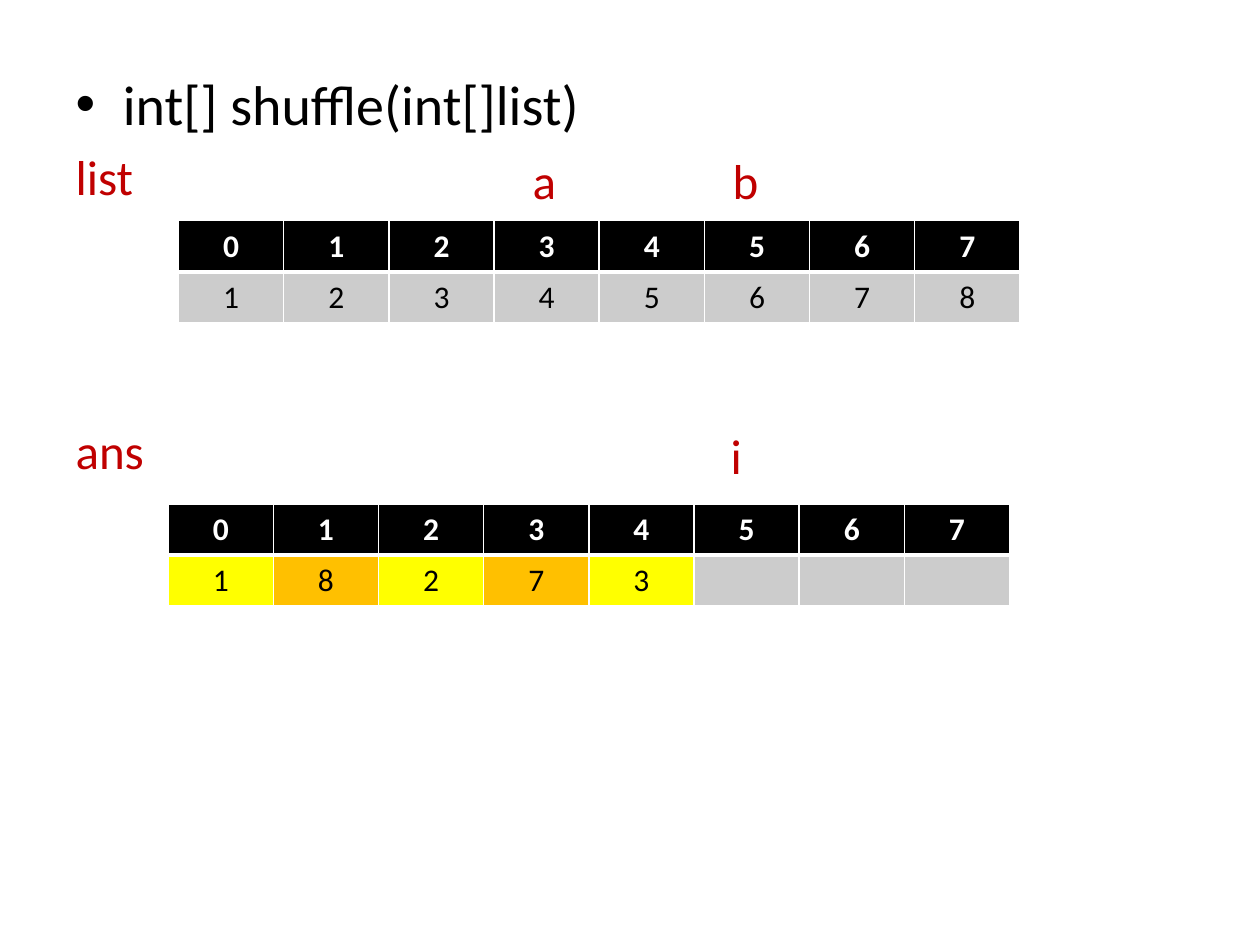
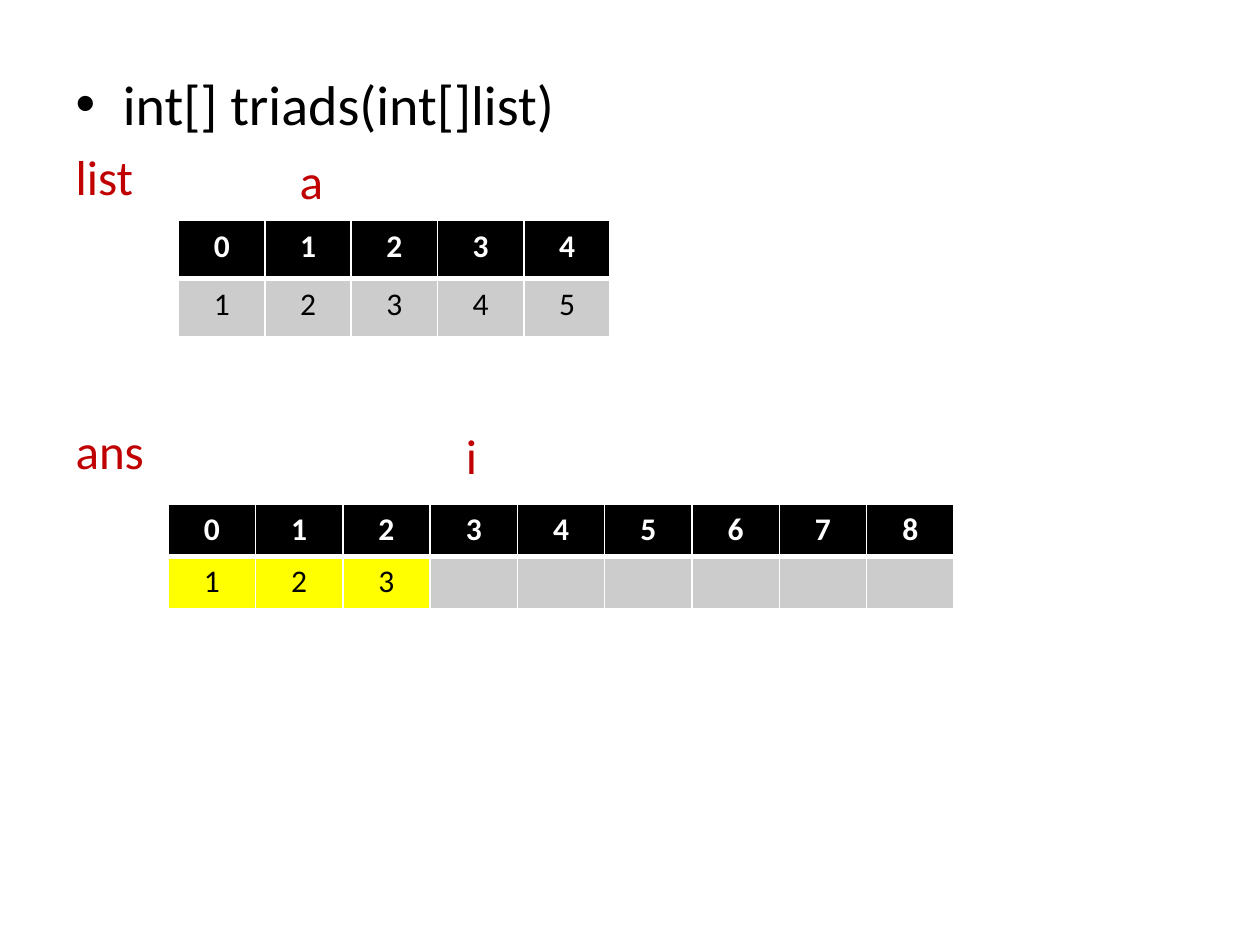
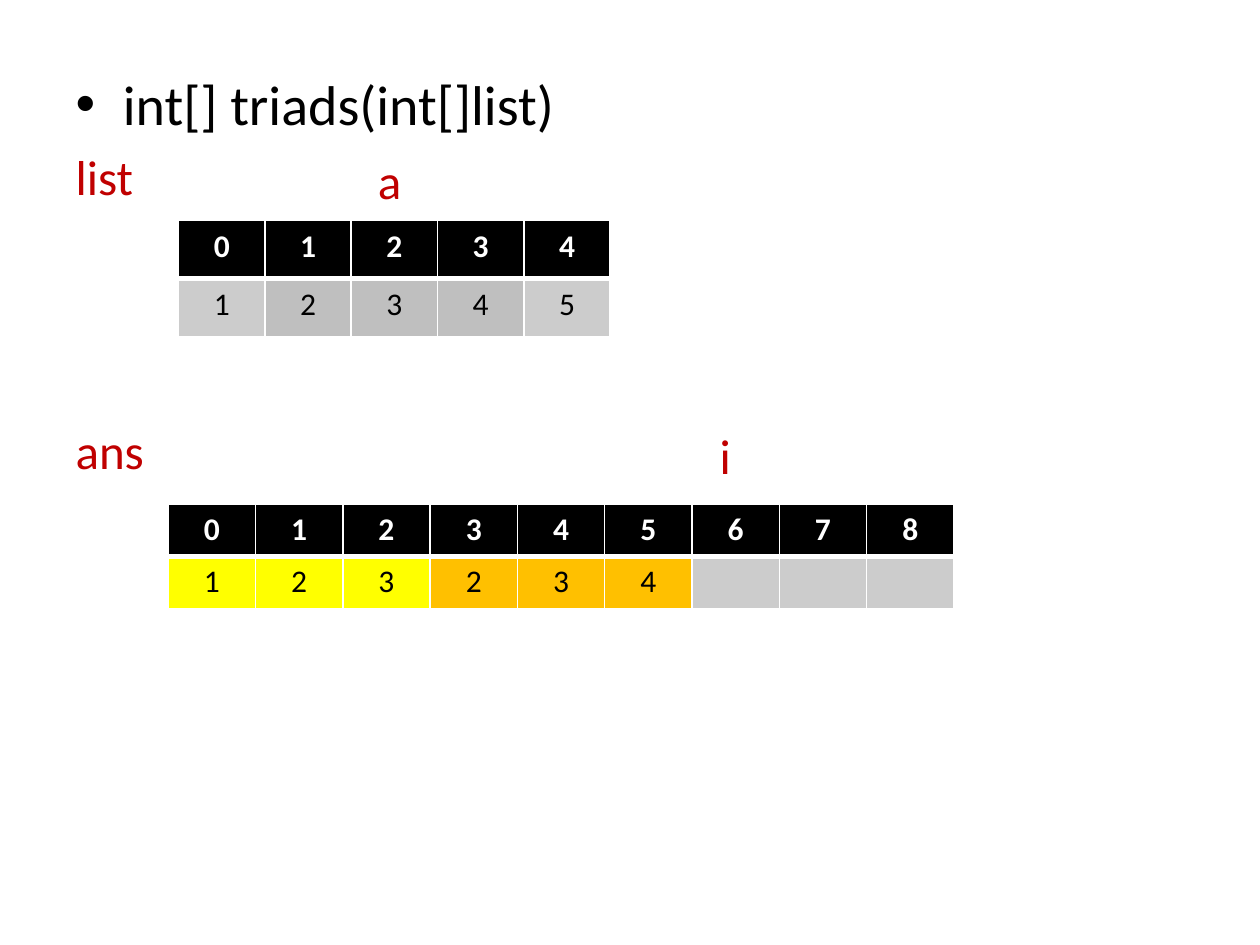
from dataclasses import dataclass

from lxml.etree import SubElement as Sub
from pptx import Presentation
from pptx.dml.color import RGBColor as RGB
from pptx.enum.text import PP_ALIGN as Align
from pptx.oxml.ns import qn
from pptx.util import Cm, Pt


@dataclass(frozen=True)
class Theme:
    font: str = "Calibri"
    ink: str = "000000"
    paper: str = "FFFFFF"
    label: str = "C00000"
    plain: str = "CCCCCC"
    dim: str = "BFBFBF"
    first: str = "FFFF00"
    next: str = "FFC000"
    head_size: int = 32
    label_size: int = 28
    cell_size: int = 18
    thin: int = 1
    thick: int = 3


class Deck:
    def __init__(self, theme):
        self.theme = theme
        self.prs = Presentation()
        self.prs.slide_width, self.prs.slide_height = Cm(25.4), Cm(19.05)
        self.slide = None

    def add_slide(self):
        self.slide = self.prs.slides.add_slide(self.prs.slide_layouts[1])
        title = self.slide.shapes.title.element
        title.getparent().remove(title)

    def style(self, par, size, color, bold=False):
        for run in par.runs:
            font = run.font
            font.name, font.size, font.bold = self.theme.font, Pt(size), bold
            font.color.rgb = RGB.from_string(color)

    def add_body(self, head, rows):
        """Fill the body with a bulleted head and rows of (text, gap)."""
        body = self.slide.placeholders[1]
        body.left, body.top = Cm(1.27), Cm(1.27)
        body.width, body.height = Cm(23.06), Cm(15.75)
        frame = body.text_frame
        frame.text = head
        frame.paragraphs[0].space_before = Pt(0)
        self.style(frame.paragraphs[0], self.theme.head_size, self.theme.ink)
        for text, gap in rows:
            par = frame.add_paragraph()
            par.text = text
            par.space_before = Pt(gap)
            props = par._p.get_or_add_pPr()
            props.set("marL", "0")
            props.set("indent", "0")
            Sub(props, qn("a:buNone"))
            self.style(par, self.theme.label_size, self.theme.label)

    def add_mark(self, text, left, top):
        """Name a pointer above the cell it points at."""
        box = self.slide.shapes.add_textbox(
            Cm(left), Cm(top), Cm(0.8), Cm(1.2))
        frame = box.text_frame
        frame.word_wrap = True
        frame.margin_left = frame.margin_right = 0
        frame.margin_top = frame.margin_bottom = 0
        frame.text = text
        self.style(frame.paragraphs[0], self.theme.label_size, self.theme.label)

    def add_edges(self, cell, top, bottom):
        props = cell._tc.get_or_add_tcPr()
        thin = self.theme.thin
        for side, width in zip("LRTB", (thin, thin, top, bottom)):
            line = Sub(props, qn(f"a:ln{side}"), w=str(Pt(width)))
            fill = Sub(line, qn("a:solidFill"))
            Sub(fill, qn("a:srgbClr"), val=self.theme.paper)

    def add_array(self, left, top, wide, high, values, fills):
        """Draw an array: indexes in the head row, values below."""
        count, look = len(values), self.theme
        grid = self.slide.shapes.add_table(
            2, count, Cm(left), Cm(top), Cm(wide * count), Cm(high * 2)).table
        grid.horz_banding = False
        for row in grid.rows:
            row.height = Cm(high)
        for i, (value, fill) in enumerate(zip(values, fills)):
            grid.columns[i].width = Cm(wide)
            self.fill_cell(grid.cell(0, i), i, look.ink, look.paper,
                           True, look.thin, look.thick)
            self.fill_cell(grid.cell(1, i), value, fill, look.ink,
                           False, look.thick, look.thin)

    def fill_cell(self, cell, value, fill, color, bold, top, bottom):
        self.add_edges(cell, top, bottom)
        cell.fill.solid()
        cell.fill.fore_color.rgb = RGB.from_string(fill)
        par = cell.text_frame.paragraphs[0]
        par.text = str(value)
        par.alignment = Align.CENTER
        self.style(par, self.theme.cell_size, color, bold)


def add_step(deck, head, list_marks, ans_left, source, answer):
    """One step of a method: the list, its pointers and the answer so far."""
    deck.add_slide()
    deck.add_body(head, [("list", 5.6), ("ans", 123)])
    for name, left in list_marks.items():
        deck.add_mark(name, left, 3.03)
    deck.add_mark("i", ans_left, 8.58)
    deck.add_array(3.6, 4.45, *source)
    deck.add_array(3.39, 10.16, *answer)


def main():
    look = Theme()
    deck = Deck(look)
    plain, dim, first, later = look.plain, look.dim, look.first, look.next

    # Shuffle: values taken in turn from both ends
    size = (2.12, 1.03)
    add_step(deck, "int[] shuffle(int[]list)", {"a": 10.74, "b": 14.77}, 14.73,
             (*size, range(1, 9), [plain] * 8),
             (*size, [1, 8, 2, 7, 3] + [""] * 3,
              [first, later, first, later, first] + [plain] * 3))

    # Triads: each run of three values in turn
    triads = "int[] triads(int[]list)"
    short, long = (1.74, 1.17), (1.76, 1.06)
    add_step(deck, triads, {"a": 6.04}, 9.39,
             (*short, range(1, 6), [plain] * 5),
             (*long, [1, 2, 3] + [""] * 6, [first] * 3 + [plain] * 6))
    add_step(deck, triads, {"a": 7.62}, 14.51,
             (*short, range(1, 6), [plain, dim, dim, dim, plain]),
             (*long, [1, 2, 3, 2, 3, 4] + [""] * 3,
              [first] * 3 + [later] * 3 + [plain] * 3))

    deck.prs.save("out.pptx")


if __name__ == "__main__":
    main()
